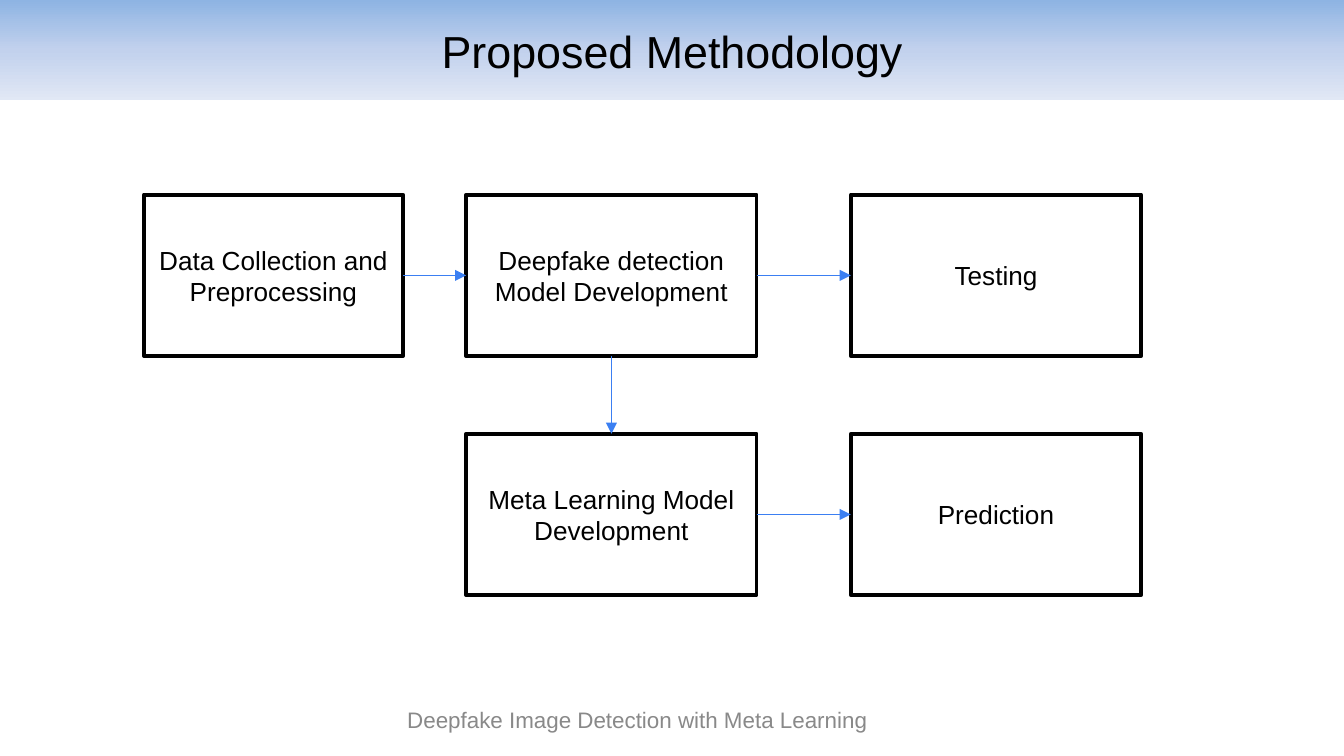
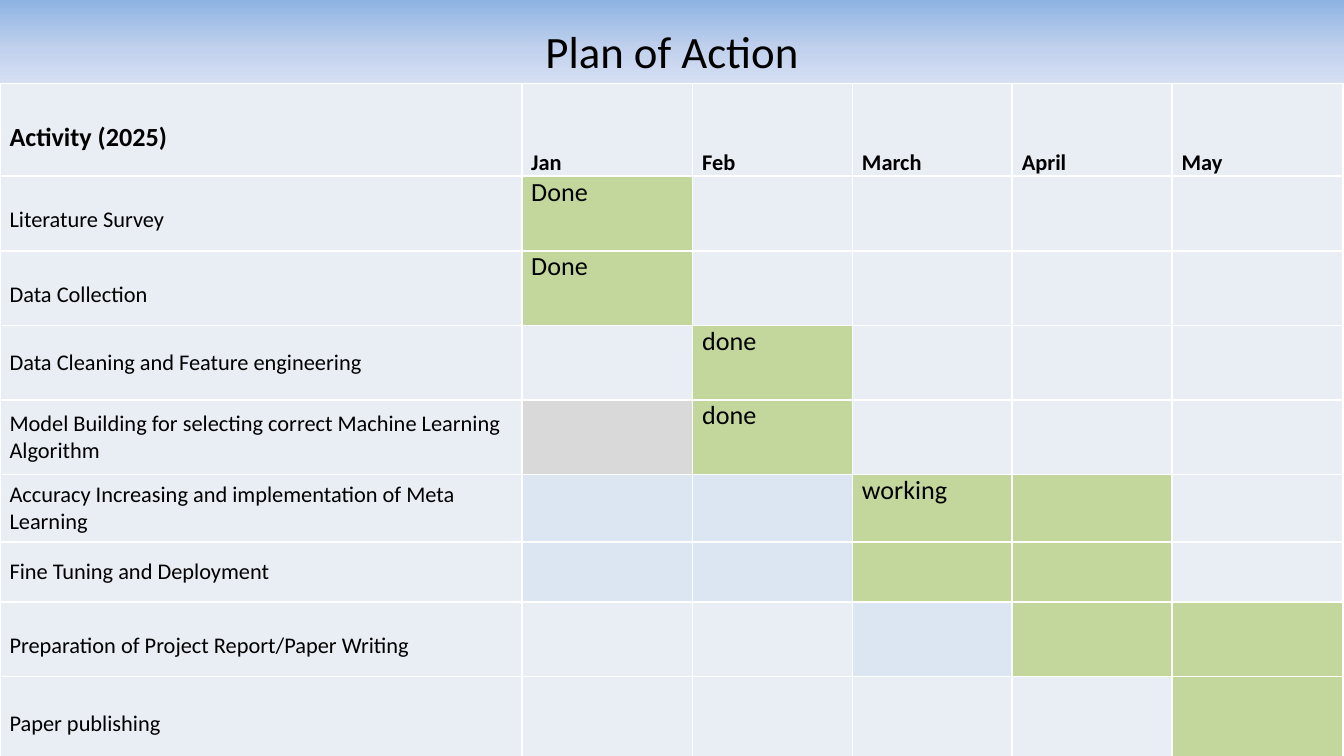
"""Build the methodology flow and the plan of action slides."""
import copy
from dataclasses import dataclass

import lxml.etree
import pptx
import pptx.dml.color
import pptx.enum.dml
import pptx.enum.shapes
import pptx.enum.text
import pptx.oxml.ns
import pptx.presentation
import pptx.shapes.autoshape
import pptx.slide
import pptx.table
import pptx.text.text
import pptx.util

COLORS = {
    "black": "000000", "white": "FFFFFF", "arrow": "3B7FF2", "footer": "898989",
    "band_top": "8EB4E3", "band_mid": "C2D1ED", "band_end": "E1E8F5",
    "plain": "E9EDF4", "active": "C3D69B", "pale": "DCE6F2", "grey": "D9D9D9",
}
BAND_STOPS = ((0, "band_top"), (0.5, "band_mid"), (1, "band_end"))
CELL_FILLS = {".": "plain", "G": "active", "B": "pale", "D": "grey"}
SLIDE_W, SLIDE_H, BAND_H = 25.4, 14.29, 1.9
BOX_H, TOP_ROW, LOW_ROW = 3.05, 3.68, 8.2
TOP, LEFT, BOTTOM, RIGHT = range(4)
TABLE_TOP = 1.58
COL_WIDTHS = (9.86, 3.23, 3.02, 3.02, 3.02, 3.23)
MONTHS = ("Jan", "Feb", "March", "April", "May")
HEADER_H = 1.75


@dataclass(frozen=True)
class Step:
    """One box of the flow, in centimetres."""
    text: str
    left: float
    top: float
    width: float = 5.49


@dataclass(frozen=True)
class Link:
    """An arrow between the sides of two steps."""
    start: str
    start_side: int
    end: str
    end_side: int


@dataclass(frozen=True)
class Activity:
    """One table row: fill codes by month and an optional status."""
    text: str
    fills: str
    status: str = ""
    height: float = 1.41
    spaced: bool = True


STEPS = {
    "data": Step("Data Collection and Preprocessing", 2.72, TOP_ROW, 4.9),
    "detect": Step("Deepfake detection Model Development", 8.81, TOP_ROW),
    "test": Step("Testing", 16.08, TOP_ROW),
    "meta": Step("Meta Learning Model Development", 8.81, LOW_ROW),
    "predict": Step("Prediction", 16.08, LOW_ROW),
}
LINKS = (
    Link("data", RIGHT, "detect", LEFT),
    Link("detect", RIGHT, "test", LEFT),
    Link("detect", BOTTOM, "meta", TOP),
    Link("meta", RIGHT, "predict", LEFT),
)
ACTIVITIES = (
    Activity("Literature Survey", "G....", "Done"),
    Activity("Data Collection", "G....", "Done"),
    Activity("Data Cleaning and Feature engineering", ".G...", "done", spaced=False),
    Activity("Model Building for selecting correct Machine Learning Algorithm",
             "DG...", "done", spaced=False),
    Activity("Accuracy Increasing and implementation of Meta Learning",
             "BBGG.", "working", 1.27, False),
    Activity("Fine Tuning and Deployment", "BBGG.", "", 1.14, False),
    Activity("Preparation of Project Report/Paper Writing", "..BGG"),
    Activity("Paper publishing", "....G", "", 1.52),
)


def rgb(name: str) -> pptx.dml.color.RGBColor:
    """Return the named colour."""
    return pptx.dml.color.RGBColor.from_string(COLORS[name])


def write(tf: pptx.text.text.TextFrame, text: str, size: float, font: str = "Arial",
          color: str = "black", bold: bool = False) -> pptx.text.text._Paragraph:
    """Add one run to the first paragraph and return the paragraph."""
    p = tf.paragraphs[0]
    r = p.add_run()
    r.text = text
    r.font.size = pptx.util.Pt(size)
    r.font.name = font
    r.font.bold = bold
    r.font.color.rgb = rgb(color)
    return p


def write_centered(tf: pptx.text.text.TextFrame, text: str, size: float,
                   font: str = "Arial", color: str = "black") -> None:
    """Write wrapped text in the middle of its frame."""
    tf.word_wrap = True
    tf.auto_size = pptx.enum.text.MSO_AUTO_SIZE.NONE
    tf.vertical_anchor = pptx.enum.text.MSO_ANCHOR.MIDDLE
    p = write(tf, text, size, font, color)
    p.alignment = pptx.enum.text.PP_ALIGN.CENTER


def add_titled_slide(prs: pptx.presentation.Presentation, title: str,
                     font: str) -> pptx.slide.Slide:
    """Add a slide whose title is a gradient band across the top."""
    s = prs.slides.add_slide(prs.slide_layouts[5])
    sp = s.shapes.title
    sp.left = sp.top = pptx.util.Cm(0)
    sp.width, sp.height = pptx.util.Cm(SLIDE_W), pptx.util.Cm(BAND_H)
    sp.fill.gradient()
    sp.fill.gradient_angle = 270
    stops = sp._element.spPr.find(".//" + pptx.oxml.ns.qn("a:gsLst"))
    stops.append(copy.deepcopy(stops[0]))
    for stop, (position, color) in zip(sp.fill.gradient_stops, BAND_STOPS):
        stop.position = position
        stop.color.rgb = rgb(color)
    write_centered(sp.text_frame, title, 24, font)
    return s


def add_step(s: pptx.slide.Slide, step: Step) -> pptx.shapes.autoshape.Shape:
    """Draw one outlined box."""
    sp = s.shapes.add_shape(
        pptx.enum.shapes.MSO_SHAPE.RECTANGLE, pptx.util.Cm(step.left),
        pptx.util.Cm(step.top), pptx.util.Cm(step.width), pptx.util.Cm(BOX_H))
    sp.shadow.inherit = False
    sp.fill.solid()
    sp.fill.fore_color.rgb = rgb("white")
    sp.line.color.rgb = rgb("black")
    sp.line.width = pptx.util.Pt(2)
    write_centered(sp.text_frame, step.text, 14)
    return sp


def add_link(s: pptx.slide.Slide, link: Link,
             boxes: dict[str, pptx.shapes.autoshape.Shape]) -> None:
    """Join two boxes with an arrow."""
    cn = s.shapes.add_connector(pptx.enum.shapes.MSO_CONNECTOR.STRAIGHT, 0, 0, 0, 0)
    cn.begin_connect(boxes[link.start], link.start_side)
    cn.end_connect(boxes[link.end], link.end_side)
    cn.line.color.rgb = rgb("arrow")
    cn.line.width = pptx.util.Pt(0.75)
    qn = pptx.oxml.ns.qn
    sp_pr = cn._element.spPr
    lxml.etree.SubElement(sp_pr.find(qn("a:ln")), qn("a:tailEnd"), type="triangle")
    lxml.etree.SubElement(sp_pr, qn("a:effectLst"))


def style_cell(cell: pptx.table._Cell, fill: str) -> None:
    """Set the margins, white borders and fill of a cell."""
    cell.margin_left = cell.margin_right = pptx.util.Cm(0.18)
    cell.margin_top = cell.margin_bottom = pptx.util.Cm(0)
    qn = pptx.oxml.ns.qn
    tc_pr = cell._tc.get_or_add_tcPr()
    for side in ("a:lnL", "a:lnR", "a:lnT", "a:lnB"):
        ln = lxml.etree.SubElement(tc_pr, qn(side), w=str(pptx.util.Pt(1)))
        solid = lxml.etree.SubElement(ln, qn("a:solidFill"))
        lxml.etree.SubElement(solid, qn("a:srgbClr"), val=COLORS["white"])
    cell.fill.solid()
    cell.fill.fore_color.rgb = rgb(fill)


def write_label(cell: pptx.table._Cell, text: str, size: float = 12,
                bold: bool = False, spaced: bool = True) -> None:
    """Write a heading or an activity name in a cell."""
    cell.vertical_anchor = pptx.enum.text.MSO_ANCHOR.MIDDLE
    p = write(cell.text_frame, text, size, "Calibri", bold=bold)
    if spaced:
        p.alignment = pptx.enum.text.PP_ALIGN.JUSTIFY
        p.line_spacing = 1.5


def add_plan(s: pptx.slide.Slide) -> None:
    """Draw the activity table."""
    heights = [HEADER_H] + [activity.height for activity in ACTIVITIES]
    table = s.shapes.add_table(
        len(heights), len(COL_WIDTHS), pptx.util.Cm(0), pptx.util.Cm(TABLE_TOP),
        pptx.util.Cm(sum(COL_WIDTHS)), pptx.util.Cm(sum(heights))).table
    table.first_row = table.horz_banding = False
    for column, width in zip(table.columns, COL_WIDTHS):
        column.width = pptx.util.Cm(width)
    for row, height in zip(table.rows, heights):
        row.height = pptx.util.Cm(height)
    fills = ["." * len(MONTHS)] + [activity.fills for activity in ACTIVITIES]
    for i, codes in enumerate(fills):
        for j, code in enumerate("." + codes):
            style_cell(table.cell(i, j), CELL_FILLS[code])
    write_label(table.cell(0, 0), "Activity (2025)", 14, bold=True)
    for j, month in enumerate(MONTHS, 1):
        write_label(table.cell(0, j), month, bold=True)
        table.cell(0, j).vertical_anchor = pptx.enum.text.MSO_ANCHOR.BOTTOM
    for i, activity in enumerate(ACTIVITIES, 1):
        write_label(table.cell(i, 0), activity.text, spaced=activity.spaced)
        if activity.status:
            cell = table.cell(i, activity.fills.index("G") + 1)
            write(cell.text_frame, activity.status, 14, "Calibri")


def build_methodology(prs: pptx.presentation.Presentation) -> None:
    """Build the flow slide with its footer."""
    s = add_titled_slide(prs, "Proposed Methodology", "Arial")
    boxes = {name: add_step(s, step) for name, step in STEPS.items()}
    for link in LINKS:
        add_link(s, link, boxes)
    footer = s.shapes.add_textbox(pptx.util.Cm(2.08), pptx.util.Cm(13.23),
                                  pptx.util.Cm(19.94), pptx.util.Cm(0.76))
    write_centered(footer.text_frame, "Deepfake Image Detection with Meta Learning",
                   12, color="footer")


def main() -> None:
    """Build and save the presentation."""
    prs = pptx.Presentation()
    prs.slide_width = pptx.util.Cm(SLIDE_W)
    prs.slide_height = pptx.util.Cm(SLIDE_H)
    build_methodology(prs)
    add_plan(add_titled_slide(prs, "Plan of Action", "Calibri"))
    prs.save("out.pptx")


if __name__ == "__main__":
    main()
